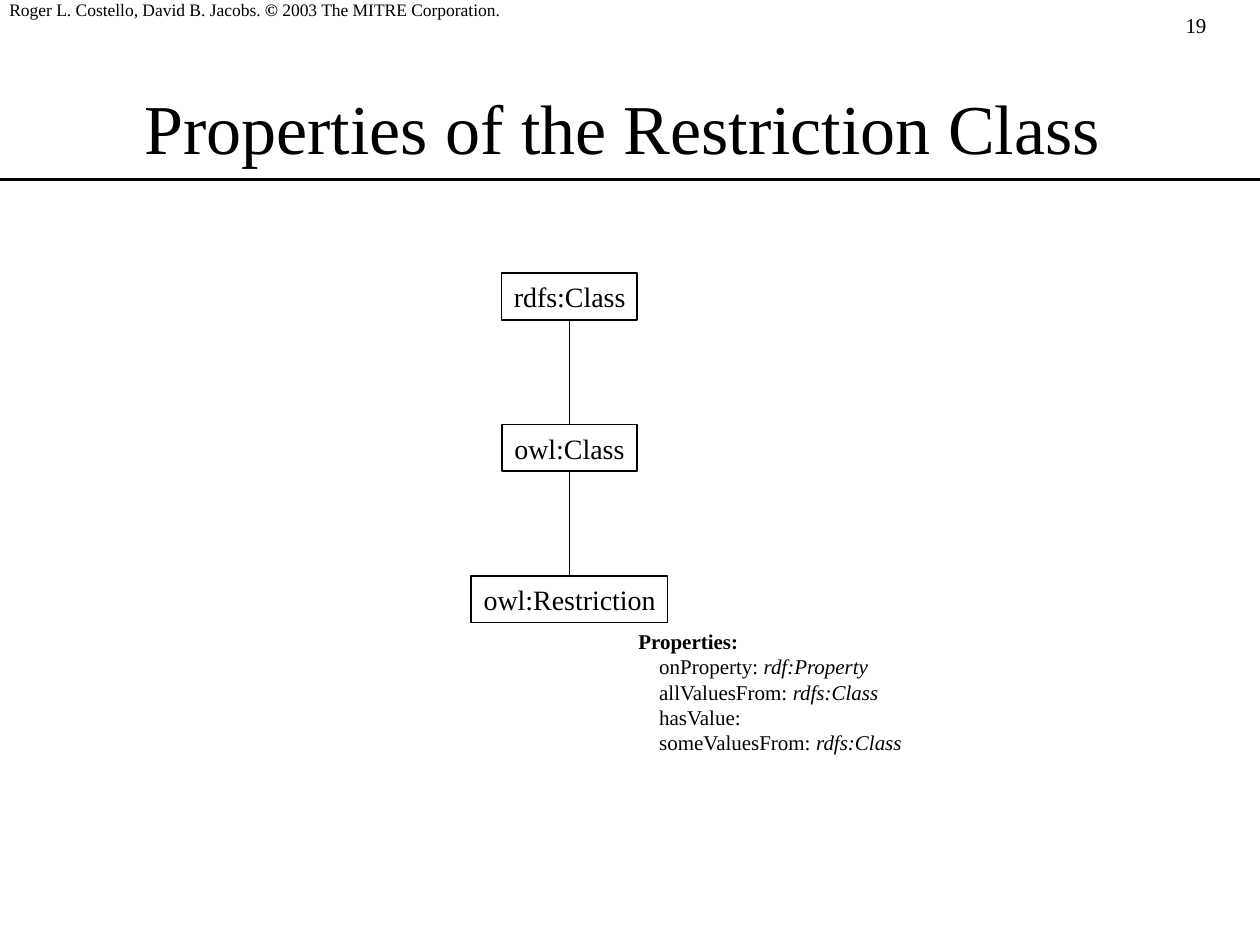
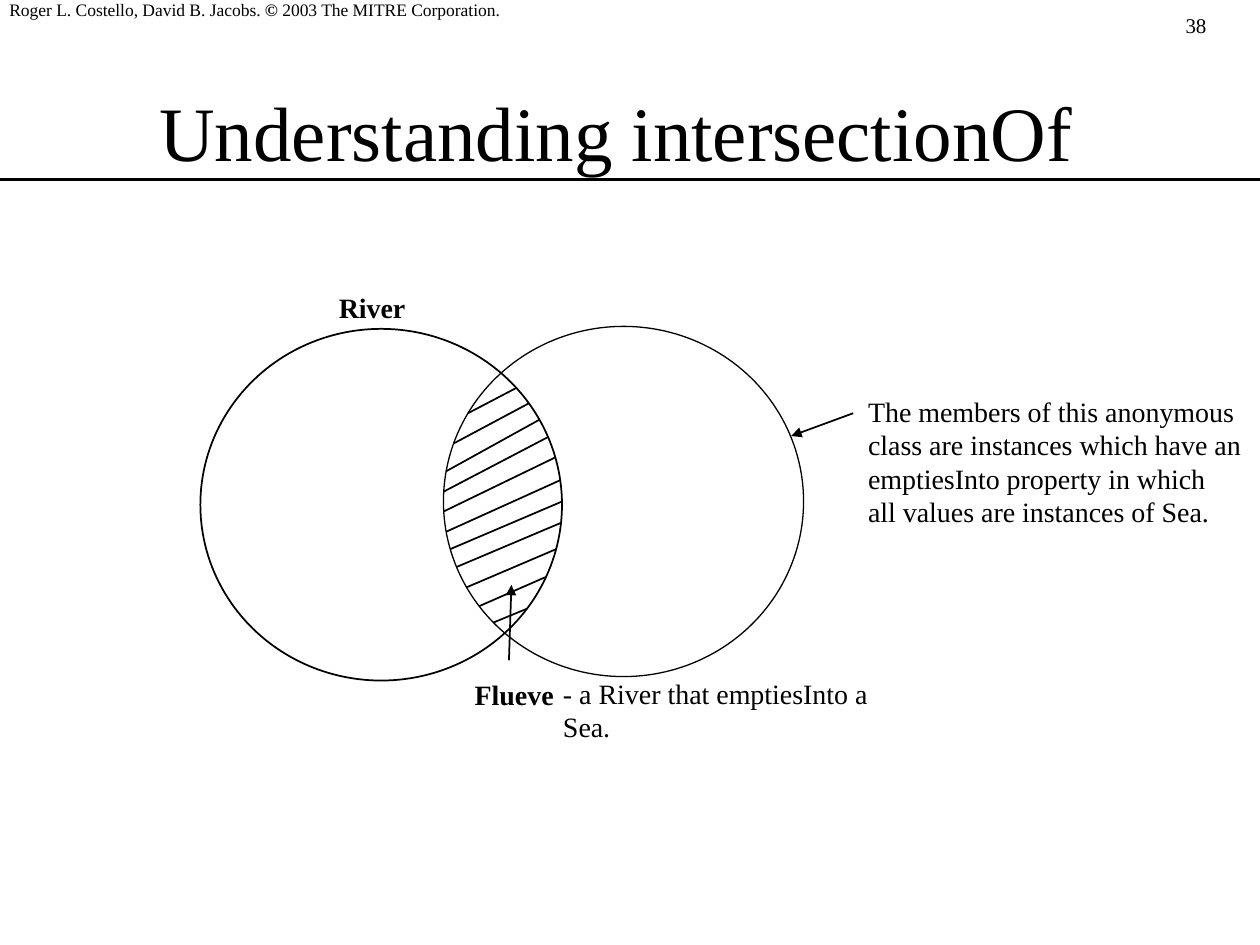
from math import sqrt

from lxml import etree
from pptx import Presentation
from pptx.dml.color import RGBColor
from pptx.enum import shapes, text
from pptx.oxml import ns
from pptx.util import Cm, Pt

BLACK = RGBColor(0, 0, 0)
WHITE = RGBColor(255, 255, 255)
FONT = "Times New Roman"
TITLE_ONLY = 5
SLIDE_WIDTH, SLIDE_HEIGHT = 25.4, 19.05
RULE_TOP = 3.62
LABEL_HEIGHT = 0.94


# Shared helpers; boxes and points are in centimetres
def lengths(values):
    return [Cm(value) for value in values]


def write(shape, paragraphs, size, wrap=False, indent=0):
    """Fill a shape; each paragraph is a list of (words, style), style "b" or "i".
    Paragraphs after the first are indented."""
    frame = shape.text_frame
    frame.word_wrap = wrap
    for index, runs in enumerate(paragraphs):
        paragraph = frame.add_paragraph() if index else frame.paragraphs[0]
        paragraph.alignment = text.PP_ALIGN.LEFT
        if index and indent:
            paragraph._p.get_or_add_pPr().set("marL", str(Cm(indent)))
        for words, style in runs:
            run = paragraph.add_run()
            run.text = words
            font = run.font
            font.name, font.size, font.color.rgb = FONT, Pt(size), BLACK
            font.bold, font.italic = style == "b", style == "i"


def add_text(slide, box, paragraphs, size=16, **options):
    shape = slide.shapes.add_textbox(*lengths(box))
    write(shape, paragraphs, size, **options)
    return shape


def add_outline(slide, kind, box, width=1, fill=None):
    shape = slide.shapes.add_shape(kind, *lengths(box))
    shape.shadow.inherit = False
    if fill is None:
        shape.fill.background()
    else:
        shape.fill.solid()
        shape.fill.fore_color.rgb = fill
    shape.line.color.rgb = BLACK
    shape.line.width = Pt(width)
    return shape


def add_line(slide, start, end, width=1, arrow=False):
    connector = slide.shapes.add_connector(
        shapes.MSO_CONNECTOR.STRAIGHT, *lengths([*start, *end]))
    connector.line.color.rgb = BLACK
    connector.line.width = Pt(width)
    properties = connector._element.spPr
    if arrow:
        outline = properties.find(ns.qn("a:ln"))
        etree.SubElement(outline, ns.qn("a:tailEnd"), type="triangle")
    etree.SubElement(properties, ns.qn("a:effectLst"))
    return connector


# Page frame: number, copyright line, title and rule
def add_page(presentation, number, title, title_box, title_size):
    slide = presentation.slides.add_slide(presentation.slide_layouts[TITLE_ONLY])
    add_text(slide, (23.65, 0.13, 2.29, 0.76), [[(number, "")]], 12, wrap=True)
    credit = add_text(slide, (-0.15, -0.64, 10.8, 1.27), [[
        ("Roger L. Costello, David B. Jacobs. ", ""),
        ("©", "b"),
        (" 2003 The MITRE Corporation.", "")]], 10, wrap=True)
    credit.text_frame.vertical_anchor = text.MSO_ANCHOR.BOTTOM
    credit.text_frame.margin_left = Cm(0.34)
    credit.text_frame.margin_bottom = Cm(0.23)

    heading = slide.shapes.title
    heading.left, heading.top, heading.width, heading.height = lengths(title_box)
    write(heading, [[(title, "")]], title_size, wrap=True)
    heading.text_frame.auto_size = text.MSO_AUTO_SIZE.NONE
    heading.text_frame.vertical_anchor = text.MSO_ANCHOR.MIDDLE
    heading.text_frame.paragraphs[0].alignment = text.PP_ALIGN.CENTER
    add_line(slide, (0, RULE_TOP), (SLIDE_WIDTH, RULE_TOP), 2)
    return slide


# Class hierarchy, centred on one vertical axis
def add_hierarchy(slide, center, top):
    step = 3.05
    classes = [("rdfs:Class", 2.74), ("owl:Class", 2.72), ("owl:Restriction", 3.96)]
    parent = None
    for level, (name, width) in enumerate(classes):
        box = (center - width / 2, top + level * step, width, LABEL_HEIGHT)
        node = add_outline(slide, shapes.MSO_SHAPE.RECTANGLE, box)
        write(node, [[(name, "")]], 16)
        if parent is not None:
            link = add_line(slide, (center, box[1] - step + LABEL_HEIGHT), (center, box[1]))
            link.begin_connect(parent, 2)
            link.end_connect(node, 0)
        parent = node

    properties = [("onProperty: ", "rdf:Property"), ("allValuesFrom: ", "rdfs:Class"),
                  ("hasValue:", ""), ("someValuesFrom: ", "rdfs:Class")]
    paragraphs = [[("Properties:", "b")]]
    for name, value in properties:
        paragraphs.append([(name, "")] + ([(value, "i")] if value else []))
    add_text(slide, (center + 1.14, top + 2 * step + LABEL_HEIGHT, 5.87, 2.79),
             paragraphs, 12, indent=0.42)


def edge_x(circle, y, side):
    """Where the height y meets the circle: side 1 is right, -1 is left."""
    left, top, width, height = circle
    offset = (y - top - height / 2) / (height / 2)
    return left + width / 2 * (1 + side * sqrt(1 - offset ** 2))


# Two overlapping classes with a hatched intersection
def add_venn(slide, left, top):
    river = (left, top + 0.05, 7.29, 7.09)
    sea = (left + 4.9, top, 7.26, 7.06)
    add_outline(slide, shapes.MSO_SHAPE.OVAL, river, fill=WHITE)
    add_outline(slide, shapes.MSO_SHAPE.OVAL, sea, 0.75)

    # Each hatch runs from the river's right edge to the sea's left edge
    right_heights = [1.24, 1.55, 1.88, 2.23, 2.64, 3.1, 3.53, 3.96, 4.49, 5.05, 5.69]
    left_heights = [1.75, 2.36, 2.92, 3.33, 3.73, 4.14, 4.49, 4.85, 5.26, 5.64, 5.97]
    for right_height, left_height in zip(right_heights, left_heights):
        start, end = top + right_height, top + left_height
        add_line(slide, (edge_x(river, start, 1), start), (edge_x(sea, end, -1), end))

    # Labels and their arrows
    add_text(slide, (left + 2.54, top - 0.84, 1.85, LABEL_HEIGHT), [[("River", "b")]])
    add_text(slide, (left + 5.28, top + 6.96, 2.11, LABEL_HEIGHT), [[("Flueve", "b")]])
    meaning = add_text(slide, (left + 6.91, top + 6.93, 7.87, LABEL_HEIGHT),
                       [[("- a River that emptiesInto a Sea.", "")]])
    meaning.text_frame.margin_left = Cm(0.4)
    add_line(slide, (left + 6.22, top + 6.73), (left + 6.27, top + 5.21), arrow=True)
    add_line(slide, (left + 13.16, top + 1.75), (left + 11.91, top + 2.21), arrow=True)
    members = ["The members of this anonymous", "class are instances which have an",
               "emptiesInto property in which", "all values are instances of Sea."]
    add_text(slide, (left + 13.21, top + 1.24, 8.03, 2.97),
             [[(line, "")] for line in members])


def main():
    presentation = Presentation()
    presentation.slide_width = Cm(SLIDE_WIDTH)
    presentation.slide_height = Cm(SLIDE_HEIGHT)

    slide = add_page(presentation, "19", "Properties of the Restriction Class",
                     (1.75, 0.97, 21.59, 3.18), 40)
    add_hierarchy(slide, 11.48, 5.51)

    slide = add_page(presentation, "38", "Understanding intersectionOf",
                     (1.63, 1.04, 21.59, 3.18), 44)
    add_venn(slide, 4.04, 6.58)

    presentation.save("out.pptx")


if __name__ == "__main__":
    main()
